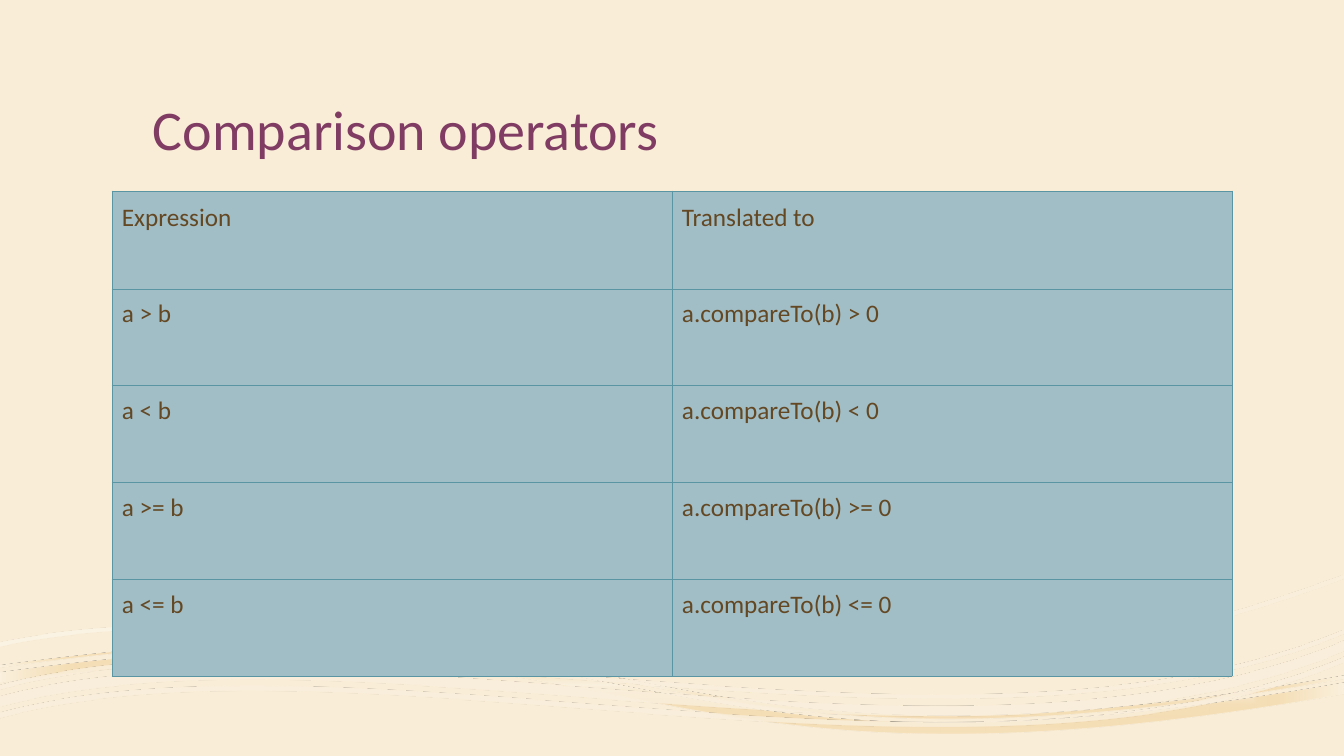
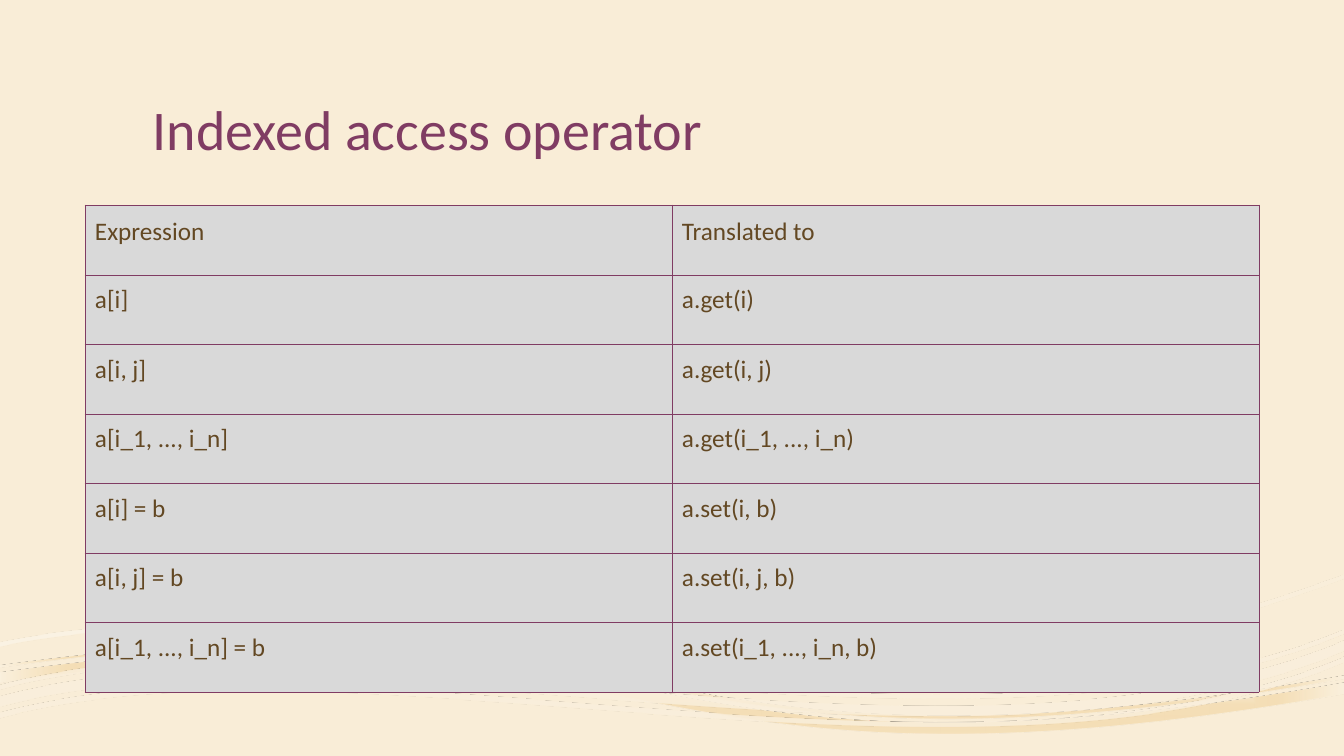
"""Builds two slides on operator translation over a waved cream page."""
import math
import pptx
import pptx.dml.color
import pptx.enum.text
import pptx.oxml
import pptx.oxml.ns
import pptx.util

RGB = pptx.dml.color.RGBColor
CREAM = RGB(0xF9, 0xED, 0xD7)
PALE = RGB(0xFA, 0xF1, 0xDF)
IVORY = RGB(0xFA, 0xEF, 0xDC)
SAND = RGB(0xF4, 0xDE, 0xB7)
GOLD = RGB(0xF4, 0xDD, 0xB3)
WHITE = RGB(0xFF, 0xFF, 0xFF)
PLUM = RGB(0x80, 0x3C, 0x63)
BROWN = RGB(0x63, 0x48, 0x23)
TEAL = RGB(0x5A, 0x95, 0xA4)
MIST = RGB(0xA1, 0xBD, 0xC6)
SILVER = RGB(0xD9, 0xD9, 0xD9)

FONT = "Calibri"
PIXELS_PER_INCH = 100.8
PAGE_WIDTH, PAGE_HEIGHT = 1344, 756
WAVE_TILT = -3.5
NAMESPACE = pptx.oxml.ns.nsdecls("a")

GOLD_OVER = [(0, 673), (125, 656), (224, 649), (308, 650), (675, 652), (744, 788), (1344, 683)]
GOLD_UNDER = [(0, 672), (672, 577), (607, 812), (1344, 683)]
GOLD_BANDS = [(GOLD_OVER, GOLD_UNDER, 0, 11), (GOLD_OVER, GOLD_UNDER, -7, 3)]
WHITE_CURVE = [(0, 642), (376, 563), (760, 790), (1344, 575)]
WHITE_BANDS = [(WHITE_CURVE, WHITE_CURVE, 0, 4)]
IVORY_CURVE = [(0, 712), (352, 617), (963, 816), (1344, 657)]
IVORY_BANDS = [
    (IVORY_CURVE, IVORY_CURVE, shift, thickness)
    for shift, thickness in [(0, 5), (-16, 10), (-27, 4)]
]

GOLD_STOPS = [(0, PALE, 90), (18, SAND, 100), (37, GOLD, 90), (100, PALE, 100)]
WHITE_STOPS = [(36, WHITE, 30), (100, CREAM, 48)]
IVORY_STOPS = [(36, WHITE, 47), (100, IVORY, 82)]
FROM_CENTRE = '<a:path path="shape"><a:fillToRect l="50000" t="50000" r="50000" b="50000"/></a:path>'
DIAGONAL = '<a:lin ang="2700000" scaled="0"/>'
FROM_CORNER = '<a:path path="rect"><a:fillToRect l="100000" t="100000"/></a:path>'


def emu(pixels):
    return pptx.util.Emu(round(pixels * 914400 / PIXELS_PER_INCH))


def move(points, shift):
    return [(x, y + shift) for x, y in points]


def level(point, frame):
    left, top, width, height = frame
    angle = math.radians(-WAVE_TILT)
    across = point[0] - left - width / 2
    down = point[1] - top - height / 2
    x = across * math.cos(angle) - down * math.sin(angle) + width / 2
    y = across * math.sin(angle) + down * math.cos(angle) + height / 2
    return f'<a:pt x="{emu(x)}" y="{emu(y)}"/>'


class Deck:
    """Holds the shared style and the current page."""

    def __init__(self):
        self.deck = pptx.Presentation()
        self.deck.slide_width = emu(PAGE_WIDTH)
        self.deck.slide_height = emu(PAGE_HEIGHT)
        self.page = None

    def add_page(self, title):
        self.page = self.deck.slides.add_slide(self.deck.slide_layouts[6])
        self.page.background.fill.solid()
        self.page.background.fill.fore_color.rgb = CREAM
        self.wave((1, 617, 1342, 136), GOLD_BANDS, GOLD_STOPS, FROM_CENTRE)
        self.wave((3, 593, 1346, 172), WHITE_BANDS, WHITE_STOPS, DIAGONAL)
        self.wave((-1, 630, 1347, 116), IVORY_BANDS, IVORY_STOPS, FROM_CORNER)
        self.title(title)

    def wave(self, frame, bands, stops, direction):
        left, top, width, height = (emu(length) for length in frame)
        right, bottom = left + width, top + height
        builder = self.page.shapes.build_freeform(left, top, scale=1.0)
        builder.add_line_segments([(right, top), (right, bottom), (left, bottom)])
        shape = builder.convert_to_shape()
        shape.rotation = WAVE_TILT
        shape.shadow.inherit = False
        shape.line.fill.background()
        self.outline(shape, frame, bands)
        self.gradient(shape, stops, direction)

    def outline(self, shape, frame, bands):
        outline = next(shape._element.spPr.iter(pptx.oxml.ns.qn("a:path")))
        for child in list(outline):
            outline.remove(child)
        for over, under, shift, thickness in bands:
            upper = [level(point, frame) for point in move(over, shift)]
            lower = [level(point, frame) for point in move(under, shift + thickness)][::-1]
            commands = [("moveTo", upper[:1])]
            commands += [("cubicBezTo", upper[start:start + 3]) for start in range(1, len(upper), 3)]
            commands += [("lnTo", lower[:1]), ("cubicBezTo", lower[1:]), ("close", [])]
            for name, points in commands:
                outline.append(pptx.oxml.parse_xml(
                    f'<a:{name} {NAMESPACE}>{"".join(points)}</a:{name}>'
                ))

    def gradient(self, shape, stops, direction):
        shape.fill.background()
        stop_list = "".join(
            f'<a:gs pos="{position * 1000}"><a:srgbClr val="{color}">'
            f'<a:alpha val="{opacity * 1000}"/></a:srgbClr></a:gs>'
            for position, color, opacity in stops
        )
        gradient = pptx.oxml.parse_xml(
            f'<a:gradFill {NAMESPACE} rotWithShape="1"><a:gsLst>{stop_list}</a:gsLst>{direction}</a:gradFill>'
        )
        properties = shape._element.spPr
        properties.replace(properties.find(pptx.oxml.ns.qn("a:noFill")), gradient)

    def style(self, para, size, color):
        para.font.name = FONT
        para.font.size = pptx.util.Pt(size)
        para.font.color.rgb = color

    def title(self, text):
        box = self.page.shapes.add_textbox(emu(143), emu(34), emu(1058), emu(134))
        frame = box.text_frame
        frame.word_wrap = True
        frame.vertical_anchor = pptx.enum.text.MSO_ANCHOR.BOTTOM
        para = frame.paragraphs[0]
        para.text = text
        para.line_spacing = 0.9
        self.style(para, 40, PLUM)

    def table(self, left, top, width, height, header_height, rows, fill, border):
        frame = self.page.shapes.add_table(
            len(rows), len(rows[0]), emu(left), emu(top), emu(width), emu(height)
        )
        table = frame.table
        table.first_row = table.horz_banding = False
        body_height = (height - header_height) / (len(rows) - 1)
        for row_index, row in enumerate(rows):
            table.rows[row_index].height = emu(body_height if row_index else header_height)
            for column_index, text in enumerate(row):
                cell = table.cell(row_index, column_index)
                cell.text = text
                cell.margin_left = cell.margin_right = cell.margin_bottom = emu(10)
                cell.margin_top = emu(10 if row_index else 11)
                cell.fill.solid()
                cell.fill.fore_color.rgb = fill
                self.style(cell.text_frame.paragraphs[0], 18, BROWN)
                self.borders(cell, border)

    def borders(self, cell, color):
        properties = cell._tc.get_or_add_tcPr()
        for index, side in enumerate("LRTB"):
            properties.insert(index, pptx.oxml.parse_xml(
                f'<a:ln{side} {NAMESPACE} w="{pptx.util.Pt(0.5)}"><a:solidFill>'
                f'<a:srgbClr val="{color}"/></a:solidFill></a:ln{side}>'
            ))


HEADER = ("Expression", "Translated to")
COMPARISONS = [(f"a {sign} b", f"a.compareTo(b) {sign} 0") for sign in (">", "<", ">=", "<=")]
INDEXES = ("i", "i, j", "i_1, ..., i_n")
READS = [(f"a[{index}]", f"a.get({index})") for index in INDEXES]
WRITES = [(f"a[{index}] = b", f"a.set({index}, b)") for index in INDEXES]

slides = Deck()
slides.add_page("Comparison operators")
slides.table(112, 191, 1120, 485, 98, [HEADER] + COMPARISONS, MIST, TEAL)
slides.add_page("Indexed access operator")
slides.table(85, 205, 1174, 487, 70, [HEADER] + READS + WRITES, SILVER, PLUM)
slides.deck.save("out.pptx")
